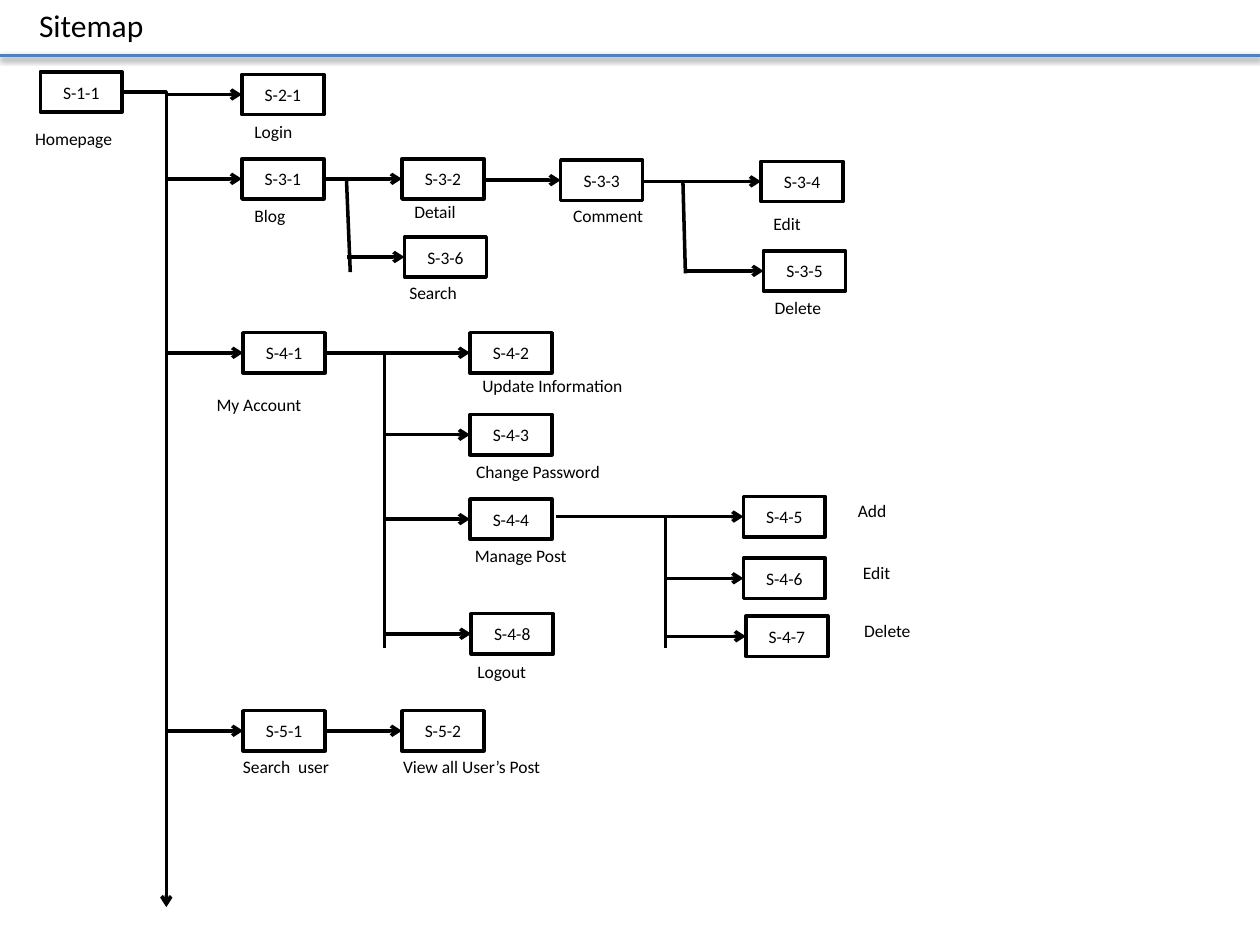
from typing import NamedTuple, Optional

import pptx
import pptx.dml.color
import pptx.enum.shapes
import pptx.enum.text
import pptx.oxml
import pptx.oxml.ns
import pptx.util

COLORS = {"ink": "000000", "paper": "FFFFFF", "rule": "4F81BD"}
FONT = "Calibri"
COLUMNS, ROWS = 100, 75
PAGE_WIDTH, PAGE_HEIGHT, LABEL_HEIGHT = 6.5, 3.2, 2.7
TRUNK_COLUMN = 13.2
STRAIGHT = pptx.enum.shapes.MSO_CONNECTOR.STRAIGHT
ELBOW = pptx.enum.shapes.MSO_CONNECTOR.ELBOW


class Page(NamedTuple):
    """A sitemap page, placed in columns and rows from its section's corner."""
    code: str
    label: str
    column: float
    row: float
    arrow_from: Optional[float]
    label_shift: tuple
    label_width: float


SECTIONS = [
    (5.7, [
        Page("S-1-1", "Homepage", -10, 0, None, (-1.4, 4), 8.2),
        Page("S-2-1", "Login", 6, 0.2, -0.1, (0, 3.2), 5.1),
    ], []),
    (12.6, [
        Page("S-3-1", "Blog", 6, 0, -0.1, (0, 3.2), 4.5),
        Page("S-3-2", "Detail", 18.7, 0, 12.6, (0, 2.9), 5.4),
        Page("S-3-3", "Comment", 31.3, 0.1, 25.2, (0, 3.1), 7.7),
        Page("S-3-4", "Edit", 47.2, 0.2, 37.9, (0, 3.6), 4.2),
        Page("S-3-5", "Delete", 47.4, 7.3, 41.3, (-0.1, 3.2), 5.8),
        Page("S-3-6", "Search", 18.9, 6.2, 14.3, (-0.6, 3.1), 5.9),
    ], [(41, 1.7, 41.2, 9.1), (14.3, 1.7, 14.6, 9)]),
    (26.4, [
        Page("S-4-1", "My Account", 6.1, 0, 0, (-3.1, 4.4), 8.9),
        Page("S-4-2", "Update Information", 24.1, 0, 12.6, (0, 2.9), 13.4),
        Page("S-4-3", "Change Password", 24.1, 6.5, 17.3, (-0.5, 3.2), 12),
        Page("S-4-4", "Manage Post", 24.1, 13.2, 17.3, (-0.6, 3.2), 9.5),
        Page("S-4-5", "Add", 45.8, 13, 30.9, (8.1, -0.2), 4.3),
        Page("S-4-6", "Edit", 45.8, 17.9, 39.6, (8.5, -0.2), 4.2),
        Page("S-4-7", "Delete", 46, 22.5, 39.7, (8.4, -0.2), 5.8),
        Page("S-4-8", "Logout", 24.2, 22.3, 17.4, (-0.5, 3.3), 6),
    ], [(17.3, 1.7, 17.3, 25), (39.6, 14.6, 39.6, 25)]),
    (56.4, [
        Page("S-5-1", "Search  user", 6.1, 0, 0, (-1, 3.1), 9),
        Page("S-5-2", "View all User\u2019s Post", 18.7, 0, 12.6, (-0.9, 3.1), 13.1),
    ], []),
]

deck = pptx.Presentation()
deck.slide_width = pptx.util.Inches(10)
deck.slide_height = pptx.util.Inches(7.5)


def grid(*lengths):
    """Turn alternating columns and rows into slide lengths."""
    steps = (deck.slide_width / COLUMNS, deck.slide_height / ROWS)
    return [round(length * steps[i % 2]) for i, length in enumerate(lengths)]


def rgb(name):
    """Look up a named colour."""
    return pptx.dml.color.RGBColor.from_string(COLORS[name])


def write(frame, text, size, align):
    """Put one formatted paragraph into a text frame."""
    frame.text = text
    paragraph = frame.paragraphs[0]
    paragraph.alignment = align
    paragraph.font.name = FONT
    paragraph.font.size = pptx.util.Pt(size)
    paragraph.font.color.rgb = rgb("ink")


def fit(frame):
    """Let a text frame hug its single unwrapped line."""
    frame.word_wrap = False
    frame.auto_size = pptx.enum.text.MSO_AUTO_SIZE.SHAPE_TO_FIT_TEXT
    frame.vertical_anchor = pptx.enum.text.MSO_ANCHOR.TOP


def draw_line(slide, ends, kind=STRAIGHT, color="ink", arrow=False):
    """Draw a shadowless line between two grid points."""
    line = slide.shapes.add_connector(kind, *grid(*ends))
    line.line.color.rgb = rgb(color)
    line.line.width = pptx.util.Pt(2)
    if arrow:
        tip = pptx.oxml.parse_xml(
            f'<a:tailEnd {pptx.oxml.ns.nsdecls("a")} type="arrow"/>')
        line.line._get_or_add_ln().append(tip)
    effects = pptx.oxml.parse_xml(f'<a:effectLst {pptx.oxml.ns.nsdecls("a")}/>')
    line._element.spPr.append(effects)
    return line, effects


def draw_header(slide, box):
    """Place the title and the shaded rule along the bottom of a box."""
    left, top, width, height = box
    title = slide.shapes.title
    title.left, title.top, title.width, title.height = grid(left + 2.1, top, 10.4, 4)
    write(title.text_frame, "Sitemap", 18, pptx.enum.text.PP_ALIGN.LEFT)
    fit(title.text_frame)
    bottom = top + height
    _, effects = draw_line(slide, (left, bottom, left + width, bottom), color="rule")
    effects.append(pptx.oxml.parse_xml(
        f'<a:outerShdw {pptx.oxml.ns.nsdecls("a")} blurRad="40000" dist="20000" '
        'dir="5400000" rotWithShape="0"><a:srgbClr val="000000">'
        '<a:alpha val="38000"/></a:srgbClr></a:outerShdw>'))


def draw_page(slide, page, left, top):
    """Place a page's box, its label and the arrow leading to it."""
    column, row = left + page.column, top + page.row
    if page.arrow_from is not None:
        middle = row + PAGE_HEIGHT / 2
        draw_line(slide, (left + page.arrow_from, middle, column, middle), arrow=True)
    box = slide.shapes.add_shape(pptx.enum.shapes.MSO_SHAPE.RECTANGLE,
                                 *grid(column, row, PAGE_WIDTH, PAGE_HEIGHT))
    box.shadow.inherit = False
    box.fill.solid()
    box.fill.fore_color.rgb = rgb("paper")
    box.line.color.rgb = rgb("ink")
    box.line.width = pptx.util.Pt(2)
    write(box.text_frame, page.code, 10, pptx.enum.text.PP_ALIGN.CENTER)
    box.text_frame.vertical_anchor = pptx.enum.text.MSO_ANCHOR.MIDDLE
    across, down = page.label_shift
    label = slide.shapes.add_textbox(
        *grid(column + across, row + down, page.label_width, LABEL_HEIGHT))
    write(label.text_frame, page.label, 10, pptx.enum.text.PP_ALIGN.LEFT)
    fit(label.text_frame)


def draw_section(slide, left, top, pages, stems):
    """Place one branch of the sitemap from its top left corner."""
    for x1, y1, x2, y2 in stems:
        draw_line(slide, (left + x1, top + y1, left + x2, top + y2))
    for page in pages:
        draw_page(slide, page, left, top)


def draw_trunk(slide, box):
    """Draw the main arrow along the top and right of a box."""
    left, top, width, height = box
    trunk, _ = draw_line(slide, (left, top, left + width, top + height), ELBOW, arrow=True)
    trunk._element.spPr.prstGeom.set("prst", "bentConnector2")


def build_sitemap():
    """Build the sitemap slide."""
    slide = deck.slides.add_slide(deck.slide_layouts[5])
    draw_header(slide, (0, 0, COLUMNS, 4.4))
    draw_trunk(slide, (9.7, 7.3, 3.5, 64.7))
    for top, pages, stems in SECTIONS:
        draw_section(slide, TRUNK_COLUMN, top, pages, stems)


build_sitemap()
deck.save("out.pptx")
